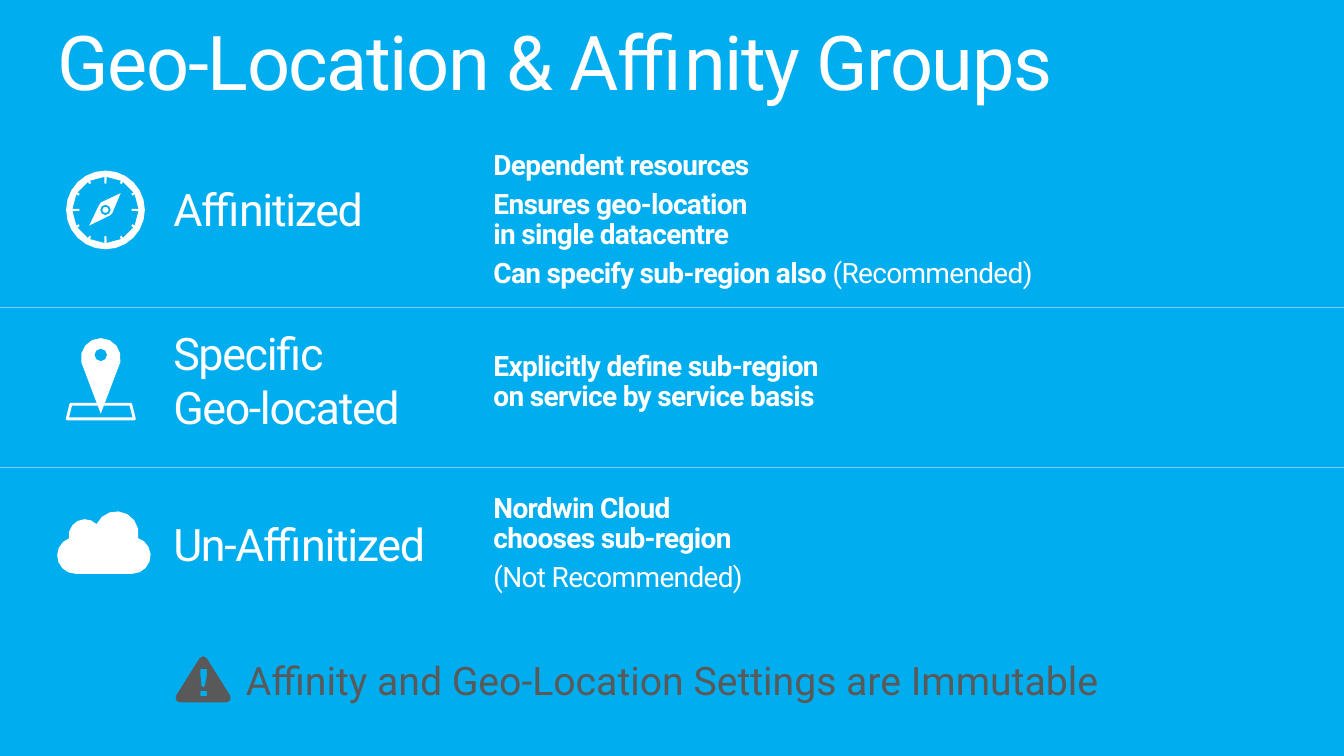
from math import cos, radians, sin

from lxml import etree
from pptx import Presentation
from pptx.dml.color import RGBColor
from pptx.enum.shapes import MSO_CONNECTOR, MSO_SHAPE
from pptx.enum.text import MSO_ANCHOR, PP_ALIGN
from pptx.oxml.ns import qn
from pptx.util import Pt

PX = 9525
SKY = RGBColor(0x00, 0xAE, 0xEF)
PALE_BLUE = RGBColor(0x7E, 0xCC, 0xFF)
WHITE = RGBColor(0xFF, 0xFF, 0xFF)
GRAY = RGBColor(0x59, 0x59, 0x59)
STRAIGHT = MSO_CONNECTOR.STRAIGHT
TRAPEZOID = MSO_SHAPE.TRAPEZOID
TOP, MIDDLE = MSO_ANCHOR.TOP, MSO_ANCHOR.MIDDLE
LEFT, CENTER = PP_ALIGN.LEFT, PP_ALIGN.CENTER

WIDTH, HEIGHT = 1280, 720
DETAIL_TOP, DETAIL_PITCH = 130, 154
ROWS = [
    (173, 52, "Affinitized",
     ["Dependent resources", "Ensures geo-location\nin single datacentre",
      "Can specify sub-region also (Recommended)"]),
    (310, 104, "Specific\nGeo-located",
     ["Explicitly define sub-region\non service by service basis"]),
    (492, 52, "Un-Affinitized",
     ["Nordwin Cloud\nchooses sub-region", "(Not Recommended)"]),
]


def arc(cx, cy, radius, start=0, end=360, step=24):
    """Return points along a clockwise arc given in degrees."""
    count = max(1, round((end - start) / step))
    angles = [radians(start + (end - start) * i / count) for i in range(count + 1)]
    return [(cx + radius * cos(a), cy + radius * sin(a)) for a in angles]


def circle(cx, cy, radius, sides):
    """Return the corners of a regular polygon close to a circle."""
    return arc(cx, cy, radius, step=360 / sides)[:-1]


class SlideBuilder:
    """Draws styled elements on one slide, measured in px."""

    def __init__(self, slide, font="Roboto"):
        self.slide = slide
        self.shapes = slide.shapes
        self.font = font

    def background(self, color):
        """Fill the slide background."""
        fill = self.slide.background.fill
        fill.solid()
        fill.fore_color.rgb = color

    def text(self, box, paragraphs, size, color=WHITE, bold=False, tracking=0,
             anchor=TOP, align=LEFT, insets=(0, 0, 0, 0), spacing=None,
             before=0, after=0):
        """Add a text box whose bracketed asides stay regular."""
        frame = self.shapes.add_textbox(*(v * PX for v in box)).text_frame
        frame.word_wrap = True
        frame.vertical_anchor = anchor
        (frame.margin_left, frame.margin_top,
         frame.margin_right, frame.margin_bottom) = (v * PX for v in insets)
        for i, wording in enumerate(paragraphs):
            paragraph = frame.add_paragraph() if i else frame.paragraphs[0]
            main, bracket, aside = wording.partition("(")
            paragraph.text = main
            if bracket:
                paragraph.add_run().text = bracket + aside
            paragraph.alignment = align
            paragraph.line_spacing = spacing
            paragraph.space_before, paragraph.space_after = Pt(before), Pt(after)
            for run in paragraph.runs:
                run.font.name = self.font
                run.font.size = Pt(size)
                run.font.color.rgb = color
                run.font.bold = bold and not run.text.startswith("(")
                if tracking:
                    run._r.get_or_add_rPr().set("spc", str(tracking))

    def divider(self, y):
        """Add a full-width horizontal line."""
        line = self.shapes.add_connector(STRAIGHT, 0, y * PX, WIDTH * PX, y * PX)
        line.line.color.rgb = PALE_BLUE
        line.line.width = Pt(0.75)
        etree.SubElement(line._element.spPr, qn("a:effectLst"))

    def outlined(self, kind, box):
        """Add an unfilled preset shape with a white outline."""
        shape = self.shapes.add_shape(kind, *(v * PX for v in box))
        shape.shadow.inherit = False
        shape.fill.background()
        shape.line.color.rgb = WHITE
        shape.line.width = Pt(2)

    def icon(self, contours, color=WHITE):
        """Add one filled outline in which inner contours cut holes."""
        scaled = [[(x * PX, y * PX) for x, y in contour] for contour in contours]
        builder = self.shapes.build_freeform(*scaled[0][0])
        for i, contour in enumerate(scaled):
            if i:
                builder.move_to(*contour[0])
            builder.add_line_segments(contour[1:], close=True)
        shape = builder.convert_to_shape()
        shape.shadow.inherit = False
        shape.fill.solid()
        shape.fill.fore_color.rgb = color
        shape.line.fill.background()


def compass(cx, cy):
    """Return the contours of a compass with twelve ticks."""
    dial = []
    for angle in range(0, 360, 30):
        depth = 29 if angle % 90 else 25
        dial += arc(cx, cy, depth, angle - 2, angle + 2)
        dial += arc(cx, cy, 31.5, angle + 2, angle + 28)
    needle = [(115, 184), (96, 193), (94, 196), (85, 215), (105, 205), (107, 203)]
    return [circle(cx, cy, 37.5, 24), dial, needle,
            circle(cx, cy, 5, 8), circle(cx, cy, 3, 6)]


def main():
    """Build and save the slide."""
    deck = Presentation()
    deck.slide_width, deck.slide_height = WIDTH * PX, HEIGHT * PX
    page = SlideBuilder(deck.slides.add_slide(deck.slide_layouts[6]))
    page.background(SKY)
    page.text((55, 24, 1170, 79), ["Geo-Location & Affinity Groups"], 54,
              tracking=-100, spacing=0.9)
    for y in (293, 445):
        page.divider(y)

    for i, (top, height, label, details) in enumerate(ROWS):
        page.text((165, top, 278, height), [label], 32, tracking=-100)
        page.text((458, DETAIL_TOP + i * DETAIL_PITCH, 768, 160), details, 20,
                  bold=True, tracking=-50, anchor=MIDDLE,
                  insets=(12, 7, 12, 7), spacing=0.9, after=6)

    page.icon(compass(100.5, 200))
    page.outlined(TRAPEZOID, (64, 385, 64, 14))
    page.icon([arc(96, 341, 19, 168, 372) + [(96, 394)], circle(96, 338, 6, 8)])
    page.icon([arc(72, 529, 17.5, 90, 250) + arc(81, 510, 15.5, 169, 317)
               + arc(111, 508, 21, 204, 371) + arc(126, 529, 17.5, 286, 450)])

    triangle = (arc(193.5, 629, 4, 212, 328, 58) + arc(216, 665, 4, 328, 450, 61)
                + arc(171, 665, 4, 90, 212, 61))
    stroke = [(191, 637), (197, 637), (197, 644), (195, 654), (192, 654), (191, 644)]
    dot = [(191, 658), (197, 658), (197, 663), (191, 663)]
    page.icon([triangle, stroke, dot], GRAY)
    page.text((213, 604, 854, 92),
              ["Affinity and Geo-Location Settings are Immutable"], 28, GRAY,
              anchor=MIDDLE, align=CENTER, insets=(10, 5, 10, 10), before=12)
    deck.save("out.pptx")


if __name__ == "__main__":
    main()
